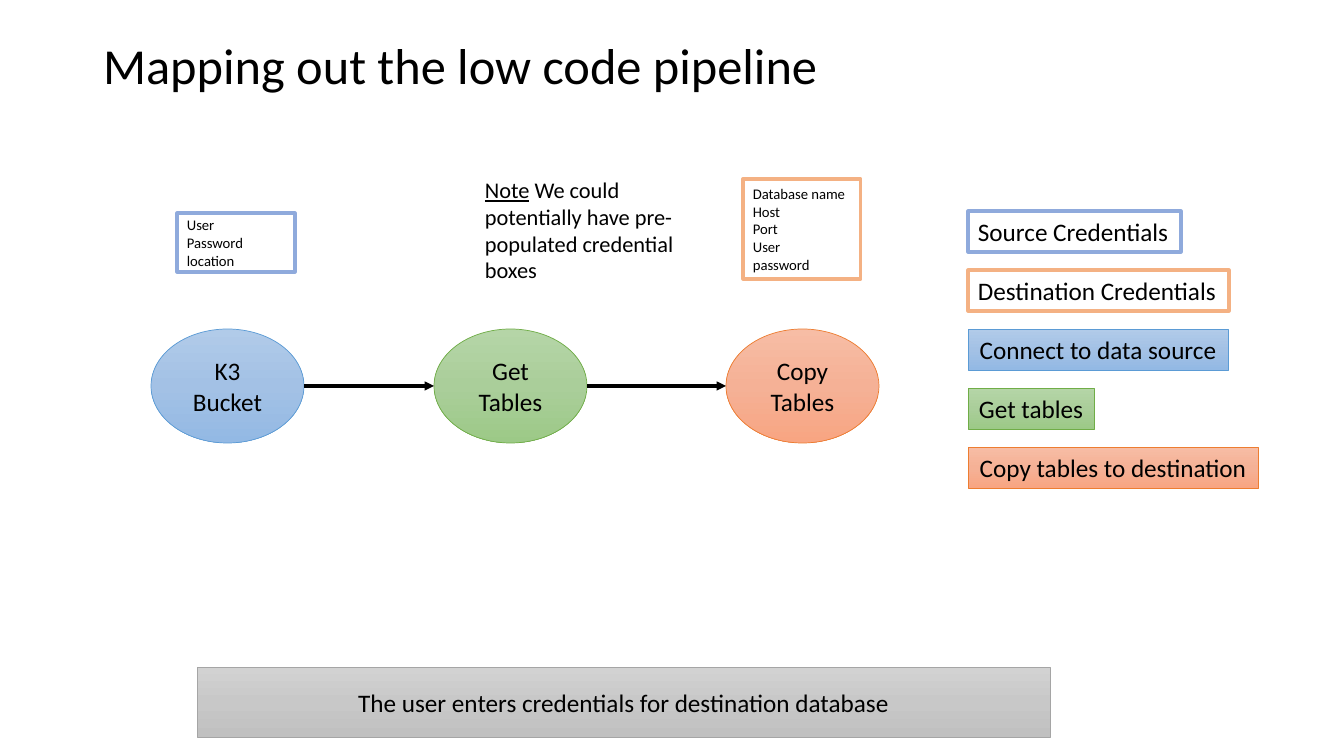
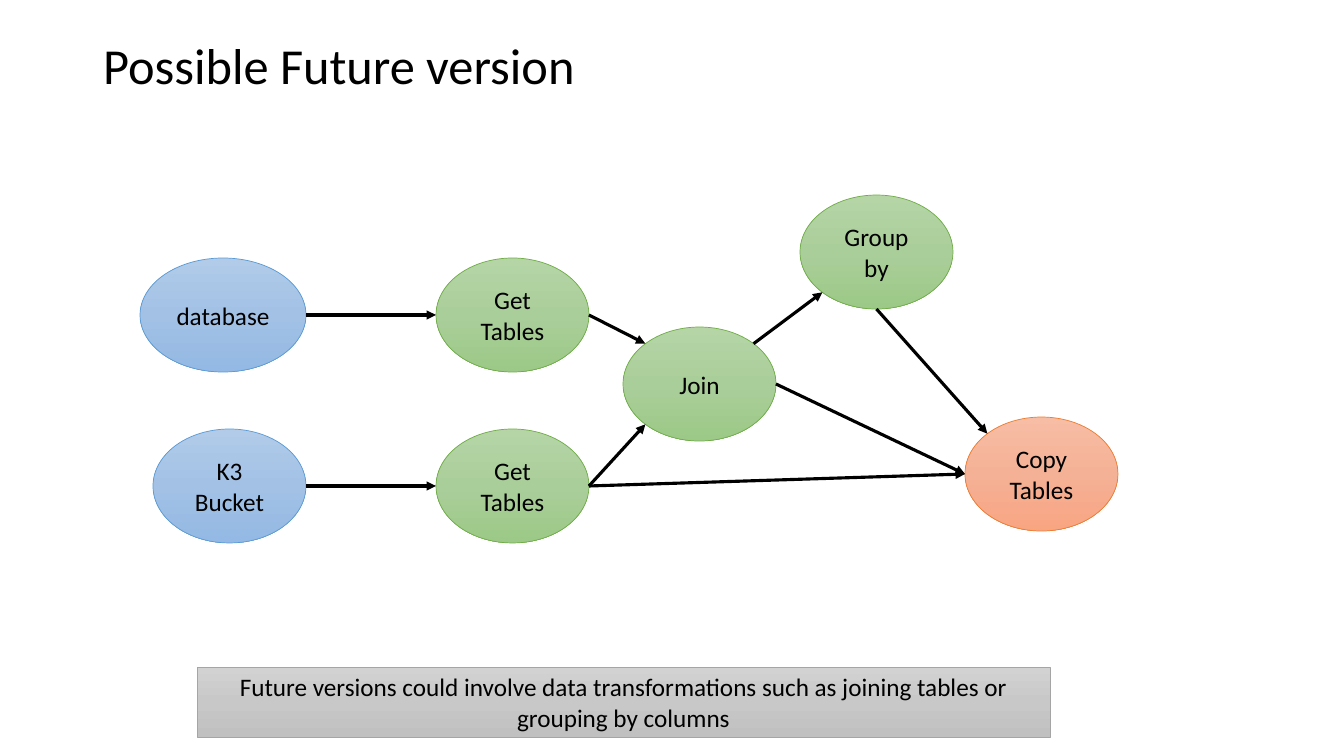
from copy import deepcopy
from dataclasses import dataclass
from math import cos, radians, sin

from lxml import etree
from pptx import Presentation
from pptx.dml.color import RGBColor
from pptx.enum.shapes import MSO_CONNECTOR, MSO_SHAPE
from pptx.enum.text import MSO_ANCHOR, MSO_AUTO_SIZE, PP_ALIGN
from pptx.oxml.ns import qn
from pptx.util import Emu, Pt

RECTANGLE, ELLIPSE = MSO_SHAPE.RECTANGLE, MSO_SHAPE.OVAL
STRAIGHT = MSO_CONNECTOR.STRAIGHT
LEFT, CENTER = PP_ALIGN.LEFT, PP_ALIGN.CENTER
TOP, MIDDLE = MSO_ANCHOR.TOP, MSO_ANCHOR.MIDDLE
FIT_SHAPE, NO_FIT = MSO_AUTO_SIZE.SHAPE_TO_FIT_TEXT, MSO_AUTO_SIZE.NONE
TITLE_ONLY = 5


# Theme
@dataclass(frozen=True)
class Paint:
    stops: tuple[str, ...]  # no stop: no fill, one: solid, three: gradient
    line: str
    line_width: float


@dataclass(frozen=True)
class Theme:
    font: str = "Calibri"
    ink: str = "000000"
    title_size: float = 36
    body_size: float = 18
    note_size: float = 16
    field_size: float = 10.5
    arrow_width: float = 2.25
    source: Paint = Paint(("B1CBE9", "A3C1E5", "93B9E4"), "5B9BD5", 0.5)
    tables: Paint = Paint(("B5D5A7", "AACE9A", "9CC987"), "70AD47", 0.5)
    destination: Paint = Paint(("F7BDA5", "F5B196", "F8A582"), "ED7D31", 0.5)
    caption: Paint = Paint(("D2D2D2", "C8C8C8", "C0C0C0"), "A5A5A5", 0.5)
    source_fields: Paint = Paint(("FFFFFF",), "8FAADC", 2.25)
    destination_fields: Paint = Paint(("FFFFFF",), "F4B183", 2.25)
    source_key: Paint = Paint((), "8FAADC", 2.25)
    destination_key: Paint = Paint((), "F4B183", 2.25)


THEME = Theme()


# Geometry
def px(length: float) -> Emu:
    return Emu(round(length * 914400 / 100.8))


@dataclass(frozen=True)
class Box:
    left: int
    top: int
    width: int
    height: int

    def emu(self) -> tuple[Emu, Emu, Emu, Emu]:
        return px(self.left), px(self.top), px(self.width), px(self.height)


SLIDE_WIDTH, SLIDE_HEIGHT = 1344, 756
TITLE_BOX = Box(93, 22, 1159, 92)
CAPTION_BOX = Box(197, 667, 853, 70)
NOTE_BOX = Box(475, 171, 223, 119)
LEGEND_LEFT, LEGEND_TOP, LEGEND_HEIGHT, LEGEND_PITCH = 968, 211, 41, 59

# Connection sites of an ellipse, counted anticlockwise from the top
TOP_LEFT, LEFT_SIDE, BOTTOM_LEFT, BOTTOM, RIGHT_SIDE, TOP_RIGHT = 1, 2, 3, 4, 6, 7


# Content types
@dataclass(frozen=True)
class Node:
    text: str
    left: int
    top: int
    paint: Paint
    width: int = 153
    height: int = 114

    def box(self) -> Box:
        return Box(self.left, self.top, self.width, self.height)

    def site(self, index: int) -> tuple[Emu, Emu]:
        angle = radians(90 + 45 * index)
        return (px(self.left + self.width / 2 * (1 + cos(angle))),
                px(self.top + self.height / 2 * (1 - sin(angle))))


@dataclass(frozen=True)
class Arrow:
    start: str
    end: str
    start_site: int = RIGHT_SIDE
    end_site: int = LEFT_SIDE


@dataclass(frozen=True)
class LegendEntry:
    text: str
    width: int
    paint: Paint


@dataclass(frozen=True)
class Fields:
    lines: tuple[str, ...]
    box: Box
    paint: Paint


@dataclass(frozen=True)
class Flow:
    title: str
    caption: str
    nodes: dict[str, Node]
    arrows: tuple[Arrow, ...]


# Content
CURRENT = Flow(
    "Mapping out the low code pipeline",
    "The user enters credentials for destination database",
    {
        "bucket": Node("K3 Bucket", 151, 329, THEME.source),
        "get": Node("Get Tables", 434, 329, THEME.tables),
        "copy": Node("Copy Tables", 726, 329, THEME.destination),
    },
    (Arrow("bucket", "get"), Arrow("get", "copy")),
)
FUTURE = Flow(
    "Possible Future version",
    "Future versions could involve data transformations such as joining tables "
    "or grouping by columns",
    {
        "database": Node("database", 140, 258, THEME.source, width=166),
        "bucket": Node("K3 Bucket", 153, 429, THEME.source),
        "get database": Node("Get Tables", 436, 258, THEME.tables),
        "get bucket": Node("Get Tables", 436, 429, THEME.tables),
        "join": Node("Join", 623, 327, THEME.tables),
        "group": Node("Group by", 800, 195, THEME.tables),
        "copy": Node("Copy Tables", 965, 417, THEME.destination),
    },
    (
        Arrow("database", "get database"),
        Arrow("bucket", "get bucket"),
        Arrow("get database", "join", end_site=TOP_LEFT),
        Arrow("get bucket", "join", end_site=BOTTOM_LEFT),
        Arrow("get bucket", "copy"),
        Arrow("join", "copy"),
        Arrow("join", "group", TOP_RIGHT, BOTTOM_LEFT),
        Arrow("group", "copy", BOTTOM, TOP_LEFT),
    ),
)
LEGEND = (
    LegendEntry("Source Credentials", 213, THEME.source_key),
    LegendEntry("Destination Credentials", 261, THEME.destination_key),
    LegendEntry("Connect to data source", 260, THEME.source),
    LegendEntry("Get tables", 126, THEME.tables),
    LegendEntry("Copy tables to destination", 290, THEME.destination),
)
CREDENTIALS = (
    Fields(("User", "Password", "location"),
           Box(177, 213, 118, 59), THEME.source_fields),
    Fields(("Database name", "Host", "Port", "User", "password"),
           Box(743, 179, 118, 100), THEME.destination_fields),
)


# Drawing
def style_paragraph(paragraph, size: float, align=LEFT) -> None:
    paragraph.alignment = align
    paragraph.font.name = THEME.font
    paragraph.font.size = Pt(size)
    paragraph.font.color.rgb = RGBColor.from_string(THEME.ink)


def paint_shape(shape, paint: Paint) -> None:
    shape.shadow.inherit = False
    fill = shape.fill
    if not paint.stops:
        fill.background()
    elif len(paint.stops) == 1:
        fill.solid()
        fill.fore_color.rgb = RGBColor.from_string(paint.stops[0])
    else:
        fill.gradient()
        fill.gradient_angle = 270
        stop_list = shape.element.spPr.find(".//" + qn("a:gsLst"))
        stop_list.insert(1, deepcopy(stop_list[0]))
        for index, (stop, color) in enumerate(zip(fill.gradient_stops, paint.stops)):
            stop.position = index / 2
            stop.color.rgb = RGBColor.from_string(color)
    shape.line.color.rgb = RGBColor.from_string(paint.line)
    shape.line.width = Pt(paint.line_width)


def add_block(slide, kind, box: Box, paint: Paint, lines: tuple[str, ...],
              size: float = THEME.body_size, align=CENTER):
    shape = slide.shapes.add_shape(kind, *box.emu())
    paint_shape(shape, paint)
    frame = shape.text_frame
    frame.word_wrap = True
    frame.vertical_anchor = MIDDLE
    frame.text = "\n".join(lines)
    for paragraph in frame.paragraphs:
        style_paragraph(paragraph, size, align)
    return shape


def add_arrow(slide, arrow: Arrow, nodes: dict[str, Node], shapes: dict) -> None:
    start = nodes[arrow.start].site(arrow.start_site)
    end = nodes[arrow.end].site(arrow.end_site)
    connector = slide.shapes.add_connector(STRAIGHT, *start, *end)
    connector.line.color.rgb = RGBColor.from_string(THEME.ink)
    connector.line.width = Pt(THEME.arrow_width)
    properties = connector.element.spPr
    etree.SubElement(properties.find(qn("a:ln")), qn("a:tailEnd"), type="triangle")
    etree.SubElement(properties, qn("a:effectLst"))
    # Glue both ends to their ellipses
    glue = connector.element.find(".//" + qn("p:cNvCxnSpPr"))
    for tag, name, site in (("a:stCxn", arrow.start, arrow.start_site),
                            ("a:endCxn", arrow.end, arrow.end_site)):
        etree.SubElement(glue, qn(tag), id=str(shapes[name].shape_id), idx=str(site))


def add_flow_slide(presentation, flow: Flow):
    slide = presentation.slides.add_slide(presentation.slide_layouts[TITLE_ONLY])
    title = slide.shapes.title
    title.left, title.top, title.width, title.height = TITLE_BOX.emu()
    frame = title.text_frame
    frame.text = flow.title
    frame.vertical_anchor = MIDDLE
    frame.auto_size = NO_FIT
    style_paragraph(frame.paragraphs[0], THEME.title_size)
    frame.paragraphs[0].line_spacing = 0.9

    shapes = {name: add_block(slide, ELLIPSE, node.box(), node.paint, (node.text,))
              for name, node in flow.nodes.items()}
    for arrow in flow.arrows:
        add_arrow(slide, arrow, flow.nodes, shapes)
    add_block(slide, RECTANGLE, CAPTION_BOX, THEME.caption, (flow.caption,))
    return slide


def add_legend(slide) -> None:
    for row, entry in enumerate(LEGEND):
        box = Box(LEGEND_LEFT, LEGEND_TOP + row * LEGEND_PITCH, entry.width, LEGEND_HEIGHT)
        is_outline = not entry.paint.stops
        shape = add_block(slide, RECTANGLE, box, entry.paint, (entry.text,),
                          align=LEFT if is_outline else CENTER)
        if is_outline:
            shape.text_frame.word_wrap = False
            shape.text_frame.auto_size = FIT_SHAPE
            shape.text_frame.vertical_anchor = TOP


def add_note(slide) -> None:
    frame = slide.shapes.add_textbox(*NOTE_BOX.emu()).text_frame
    frame.word_wrap = True
    frame.auto_size = FIT_SHAPE
    paragraph = frame.paragraphs[0]
    style_paragraph(paragraph, THEME.note_size)
    label = paragraph.add_run()
    label.text = "Note"
    label.font.underline = True
    paragraph.add_run().text = " We could potentially have pre-populated credential boxes"


def main() -> None:
    presentation = Presentation()
    presentation.slide_width, presentation.slide_height = px(SLIDE_WIDTH), px(SLIDE_HEIGHT)

    # Current pipeline
    slide = add_flow_slide(presentation, CURRENT)
    for fields in CREDENTIALS:
        add_block(slide, RECTANGLE, fields.box, fields.paint, fields.lines,
                  THEME.field_size, LEFT)
    add_legend(slide)
    add_note(slide)

    # Future pipeline
    add_flow_slide(presentation, FUTURE)
    presentation.save("out.pptx")


if __name__ == "__main__":
    main()
